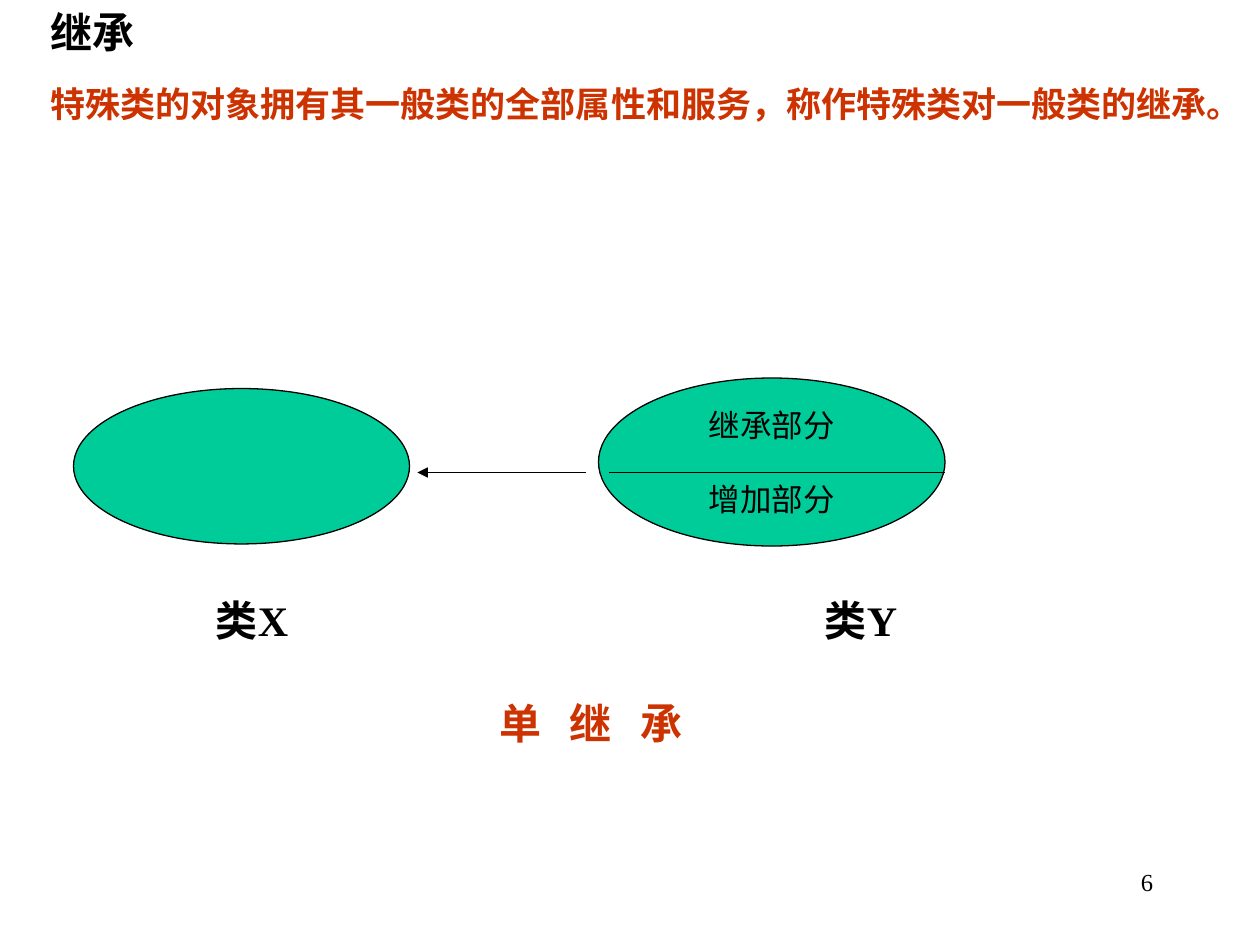
from lxml.etree import SubElement
from pptx import Presentation
from pptx.dml.color import RGBColor
from pptx.enum.shapes import MSO_CONNECTOR, MSO_SHAPE
from pptx.enum.text import MSO_ANCHOR, PP_ALIGN
from pptx.oxml.ns import qn
from pptx.util import Inches, Pt

COLORS = {"ink": "000000", "accent": "CC3300", "class": "00CC99"}
FONT = "Times New Roman"
GRID = 12


def add_text(frame, text, size=24, color="ink", bold=False, align=PP_ALIGN.LEFT,
             before=None, indent=None, spacing=None):
    paragraph = frame.paragraphs[0]
    if paragraph.runs:
        paragraph = frame.add_paragraph()
    paragraph.alignment = align
    if before is not None:
        paragraph.space_before = Pt(before)
    if indent is not None:
        paragraph._p.get_or_add_pPr().set("indent", str(Inches(indent)))
    run = paragraph.add_run()
    run.text = text
    run.font.name = FONT
    run.font.size = Pt(size)
    run.font.bold = bold
    run.font.color.rgb = RGBColor.from_string(COLORS[color])
    if spacing is not None:
        run._r.get_or_add_rPr().set("spc", str(round(spacing * 100)))


class SlideBuilder:
    def __init__(self, presentation):
        self.slide = presentation.slides.add_slide(presentation.slide_layouts[6])

    def cells(self, *values):
        return [Inches(value / GRID) for value in values]

    def text_box(self, column, row, width, height):
        shape = self.slide.shapes.add_textbox(*self.cells(column, row, width, height))
        shape.text_frame.word_wrap = True
        return shape.text_frame

    def ellipse(self, column, row, width, height):
        shape = self.slide.shapes.add_shape(
            MSO_SHAPE.OVAL, *self.cells(column, row, width, height))
        shape.shadow.inherit = False
        shape.fill.solid()
        shape.fill.fore_color.rgb = RGBColor.from_string(COLORS["class"])
        self.outline(shape.line)
        frame = shape.text_frame
        frame.word_wrap = False
        frame.vertical_anchor = MSO_ANCHOR.MIDDLE
        return frame

    def line(self, start, end, row, arrow=False):
        connector = self.slide.shapes.add_connector(
            MSO_CONNECTOR.STRAIGHT, *self.cells(start, row, end, row))
        self.outline(connector.line)
        if arrow:
            SubElement(connector.line._get_or_add_ln(), qn("a:tailEnd"), type="triangle")
        SubElement(connector._element.spPr, qn("a:effectLst"))

    def outline(self, line):
        line.color.rgb = RGBColor.from_string(COLORS["ink"])
        line.width = Pt(0.75)


def main():
    presentation = Presentation()
    presentation.slide_width = Inches(10)
    presentation.slide_height = Inches(7.5)
    builder = SlideBuilder(presentation)

    definition = builder.text_box(0, 0, 117.6, 13)
    add_text(definition, "继承", bold=True, indent=0.3)
    add_text(definition, "特殊类的对象拥有其一般类的全部属性和服务，称作特殊类对一般类的继承。",
             size=20, color="accent", bold=True, before=15, indent=0.3)

    builder.ellipse(7, 37, 32, 14.8)
    builder.line(55.8, 39.75, 45, arrow=True)
    derived_class = builder.ellipse(57, 36, 33, 16)
    add_text(derived_class, "继承部分", size=18, align=PP_ALIGN.CENTER)
    add_text(derived_class, "增加部分", size=18, align=PP_ALIGN.CENTER, before=21)
    builder.line(58, 90, 45)

    for column, name in ((18, "类X"), (76, "类Y")):
        add_text(builder.text_box(column, 56, 12, 6), name, bold=True,
                 align=PP_ALIGN.CENTER)

    add_text(builder.text_box(46.4, 65.8, 24, 6), "单 继 承", color="accent",
             bold=True, spacing=5.4)
    add_text(builder.text_box(86, 82, 25, 6), "6", size=14, align=PP_ALIGN.RIGHT)

    presentation.save("out.pptx")


if __name__ == "__main__":
    main()
